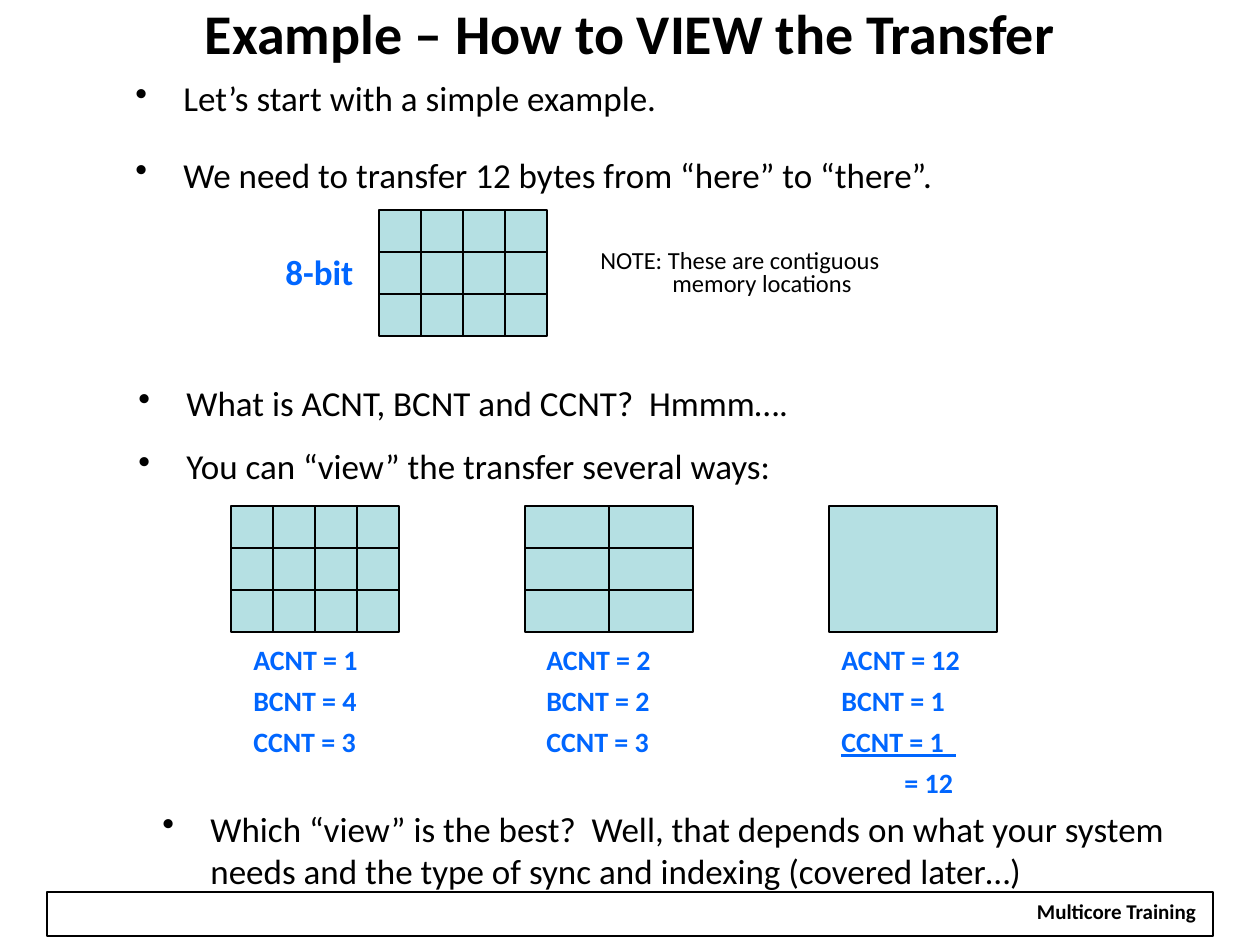
from lxml import etree
from pptx import Presentation
from pptx import util as u
from pptx.dml.color import RGBColor
from pptx.enum import shapes, text
from pptx.oxml import ns

SCALE = 914400 / 126  # EMU per px
FONT = "Calibri"
BLACK = RGBColor(0x00, 0x00, 0x00)
WHITE = RGBColor(0xFF, 0xFF, 0xFF)
BLUE = RGBColor(0x00, 0x66, 0xFF)
CELL_FILL = RGBColor(0xB5, 0xE0, 0xE3)

GRID_WIDTH, GRID_HEIGHT = 168, 126
VIEW_TOP, COUNT_TOP = 506, 643
BULLET_INDENT = 48

# Left of grid, left of counts, columns, rows, A/B/C counts
VIEWS = [
    (231, 241, 4, 3, (1, 4, 3)),
    (525, 534, 2, 3, (2, 2, 3)),
    (829, 829, 1, 1, (12, 1, 1)),
]

# Left, top, width, height, line spacing, wraps, items
BULLETS = [
    (123, 54, 844, 147, 1.4, False,
     ["Let’s start with a simple example.",
      "We need to transfer 12 bytes from “here” to “there”."]),
    (126, 350, 690, 76, 1.7, False, ["What is ACNT, BCNT and CCNT?  Hmmm…."]),
    (126, 413, 678, 76, 1.7, False, ["You can “view” the transfer several ways:"]),
    (150, 801, 1031, 97, 1.0, True,
     ["Which “view” is the best?  Well, that depends on what your system "
      "needs and the type of sync and indexing (covered later…)"]),
]


def px(length):
    return u.Emu(round(length * SCALE))


def add_span(para, words, size, color=BLACK, bold=False, underline=None):
    span = para.add_run()
    span.text = words
    font = span.font
    font.name, font.size, font.bold = FONT, u.Pt(size), bold
    font.underline = underline
    font.color.rgb = color


def add_para(frame, first, spacing, before=0, indent=0):
    para = frame.paragraphs[0] if first else frame.add_paragraph()
    para.line_spacing = spacing
    para.space_before = u.Pt(0 if first else before)
    if indent:
        para._p.get_or_add_pPr().set("marL", str(px(indent)))
    return para


def add_bullet(para):
    props = para._p.get_or_add_pPr()
    props.set("marL", str(px(BULLET_INDENT)))
    props.set("indent", str(-px(BULLET_INDENT)))
    color = etree.SubElement(props, ns.qn("a:buClr"))
    etree.SubElement(color, ns.qn("a:srgbClr")).set("val", str(BLACK))
    etree.SubElement(props, ns.qn("a:buChar")).set("char", "•")


def add_text_box(page, left, top, width, height, wraps=False):
    box = page.shapes.add_textbox(px(left), px(top), px(width), px(height))
    frame = box.text_frame
    frame.word_wrap = wraps
    frame.auto_size = text.MSO_AUTO_SIZE.SHAPE_TO_FIT_TEXT
    return frame


def add_rect(owner, left, top, width, height, fill=None, line=None):
    rect = owner.shapes.add_shape(
        shapes.MSO_SHAPE.RECTANGLE, px(left), px(top), px(width), px(height))
    rect.shadow.inherit = False
    if fill is None:
        rect.fill.background()
    else:
        rect.fill.solid()
        rect.fill.fore_color.rgb = fill
    if line is None:
        rect.line.fill.background()
    else:
        rect.line.color.rgb = BLACK
        rect.line.width = u.Pt(line)
    return rect


def add_grid(group, left, top, columns, rows):
    width, height = GRID_WIDTH // columns, GRID_HEIGHT // rows
    for row in range(rows):
        for column in range(columns):
            add_rect(group, left + column * width, top + row * height,
                     width, height, CELL_FILL, 1.5)


def add_counts(page, left, counts, total=None):
    frame = add_text_box(page, left, COUNT_TOP, 145 if total else 136,
                         173 if total else 128)
    for index, (letter, count) in enumerate(zip("ABC", counts)):
        para = add_para(frame, index == 0, 0.8, before=8)
        summed = total is not None and letter == "C"
        # The sum line runs a little past the last count
        words = f"{letter}CNT = {count}" + ("  " if summed else "")
        add_span(para, words, 16, BLUE, True, summed or None)
    if total is not None:
        para = add_para(frame, False, 0.8, before=8, indent=63)
        add_span(para, f"= {total}", 16, BLUE, True)


def add_bullets(page, left, top, width, height, spacing, wraps, items):
    frame = add_text_box(page, left, top, width, height, wraps)
    frame.vertical_anchor = text.MSO_ANCHOR.MIDDLE
    for index, item in enumerate(items):
        para = add_para(frame, index == 0, spacing, before=10)
        add_bullet(para)
        add_span(para, item, 20)


def add_footer(page):
    add_rect(page, 47, 892, 1166, 44, line=0.75)
    label = add_rect(page, 1023, 897, 187, 33, fill=WHITE)
    frame = label.text_frame
    frame.word_wrap = False
    frame.vertical_anchor = text.MSO_ANCHOR.TOP
    para = add_para(frame, True, 0.8)
    para.alignment = text.PP_ALIGN.CENTER
    add_span(para, "Multicore Training", 12, bold=True)


def set_title(page, words):
    title = page.shapes.title
    title.left, title.top = px(0), px(8)
    title.width, title.height = px(1260), px(84)
    frame = title.text_frame
    frame.margin_left = frame.margin_right = px(6)
    frame.margin_top = frame.margin_bottom = px(6)
    frame.vertical_anchor = text.MSO_ANCHOR.TOP
    para = add_para(frame, True, 0.75)
    para.alignment = text.PP_ALIGN.CENTER
    add_span(para, words, 32, bold=True)


def main():
    deck = Presentation()
    deck.slide_width, deck.slide_height = px(1260), px(945)
    page = deck.slides.add_slide(deck.slide_layouts[5])

    # Frame and title
    add_footer(page)
    set_title(page, "Example – How to VIEW the Transfer")

    # Three ways to view the transfer
    views = page.shapes.add_group_shape()
    for grid_left, count_left, columns, rows, counts in VIEWS:
        add_grid(views, grid_left, VIEW_TOP, columns, rows)
        add_counts(page, count_left, counts, 12 if columns == 1 else None)

    # Memory block with its label and note
    add_grid(page.shapes.add_group_shape(), 379, 210, 4, 3)
    label = add_text_box(page, 273, 252, 94, 47)
    add_span(add_para(label, True, 0.8), "8-bit", 20, BLUE, True)
    note = add_text_box(page, 588, 244, 307, 60)
    add_span(add_para(note, True, 0.8), "NOTE: These are contiguous", 14)
    add_span(add_para(note, False, 0.8, indent=72), "memory locations", 14)

    # Bulleted statements
    for bullets in BULLETS:
        add_bullets(page, *bullets)

    deck.save("out.pptx")


if __name__ == "__main__":
    main()
